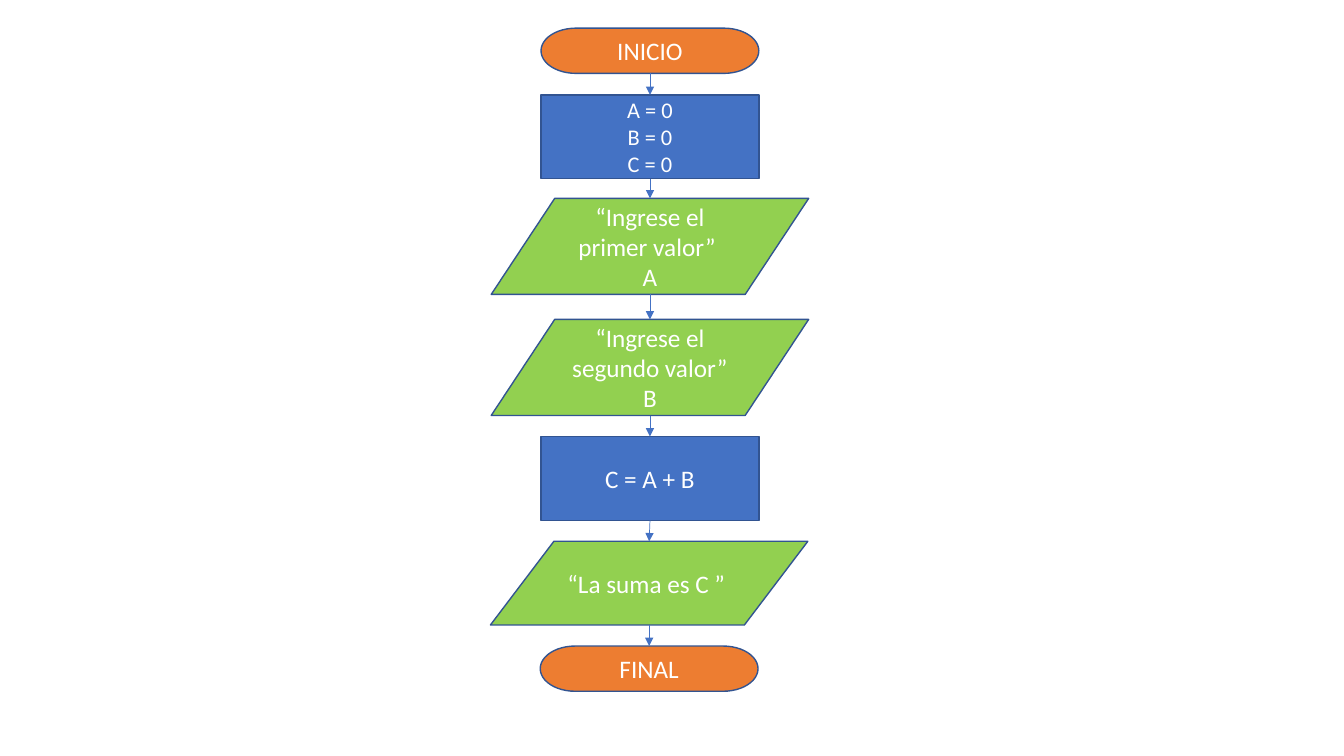
"""Build a flowchart slide that adds two values."""
from dataclasses import dataclass
from itertools import pairwise

from lxml.etree import SubElement
from pptx import Presentation
from pptx.dml.color import RGBColor
from pptx.enum.shapes import MSO_CONNECTOR as Link, MSO_SHAPE as Preset
from pptx.enum.text import MSO_ANCHOR as Anchor, PP_ALIGN as Align
from pptx.oxml.ns import qn
from pptx.slide import Slide
from pptx.text.text import TextFrame
from pptx.util import Cm, Pt

COLORS = {
    "terminal": "ED7D31",
    "process": "4472C4",
    "data": "92D050",
    "outline": "325491",
    "arrow": "4472C4",
    "text": "FFFFFF",
}


@dataclass(frozen=True)
class Kind:
    preset: Preset
    color: str
    width: float


TERMINAL = Kind(Preset.FLOWCHART_TERMINATOR, "terminal", 5.49)
PROCESS = Kind(Preset.FLOWCHART_PROCESS, "process", 5.49)
DATA = Kind(Preset.FLOWCHART_DATA, "data", 8.0)


@dataclass(frozen=True)
class Step:
    kind: Kind
    top: float
    height: float
    lines: tuple[str, ...]
    size: int = 18
    center: float = 16.38

    @property
    def bottom(self) -> float:
        return self.top + self.height


STEPS = [
    Step(TERMINAL, 0.71, 1.14, ("INICIO",)),
    Step(PROCESS, 2.39, 2.11, ("A = 0", "B = 0", "C = 0"), size=16),
    Step(DATA, 5.0, 2.42, ("“Ingrese el primer valor” ", "A")),
    Step(DATA, 8.05, 2.42, ("“Ingrese el segundo valor” B",)),
    Step(PROCESS, 11.0, 2.11, ("C = A + B",)),
    Step(DATA, 13.64, 2.11, ("“La suma es C ” ",), center=16.36),
    Step(TERMINAL, 16.28, 1.14, ("FINAL",), center=16.36),
]


def rgb(name: str) -> RGBColor:
    return RGBColor.from_string(COLORS[name])


def write(frame: TextFrame, lines: tuple[str, ...], *, size: int,
          color: str = "text", font: str = "Calibri") -> None:
    frame.word_wrap = True
    frame.vertical_anchor = Anchor.MIDDLE
    for index, line in enumerate(lines):
        paragraph = frame.add_paragraph() if index else frame.paragraphs[0]
        paragraph.alignment = Align.CENTER
        run = paragraph.add_run()
        run.text = line
        run.font.name = font
        run.font.size = Pt(size)
        run.font.color.rgb = rgb(color)


def draw_step(slide: Slide, step: Step) -> None:
    kind = step.kind
    block = slide.shapes.add_shape(
        kind.preset, Cm(step.center - kind.width / 2), Cm(step.top),
        Cm(kind.width), Cm(step.height))
    block.shadow.inherit = False
    block.fill.solid()
    block.fill.fore_color.rgb = rgb(kind.color)
    block.line.color.rgb = rgb("outline")
    block.line.width = Pt(1)
    write(block.text_frame, step.lines, size=step.size)


def draw_arrow(slide: Slide, source: Step, target: Step) -> None:
    arrow = slide.shapes.add_connector(
        Link.STRAIGHT, Cm(source.center), Cm(source.bottom),
        Cm(target.center), Cm(target.top))
    arrow.line.color.rgb = rgb("arrow")
    arrow.line.width = Pt(0.5)
    SubElement(arrow.line._get_or_add_ln(), qn("a:tailEnd"), type="triangle")
    SubElement(arrow._element.spPr, qn("a:effectLst"))


def main() -> None:
    deck = Presentation()
    deck.slide_width, deck.slide_height = Cm(33.87), Cm(19.05)
    slide = deck.slides.add_slide(deck.slide_layouts[6])
    for step in STEPS:
        draw_step(slide, step)
    for source, target in pairwise(STEPS):
        draw_arrow(slide, source, target)
    deck.save("out.pptx")


main()
